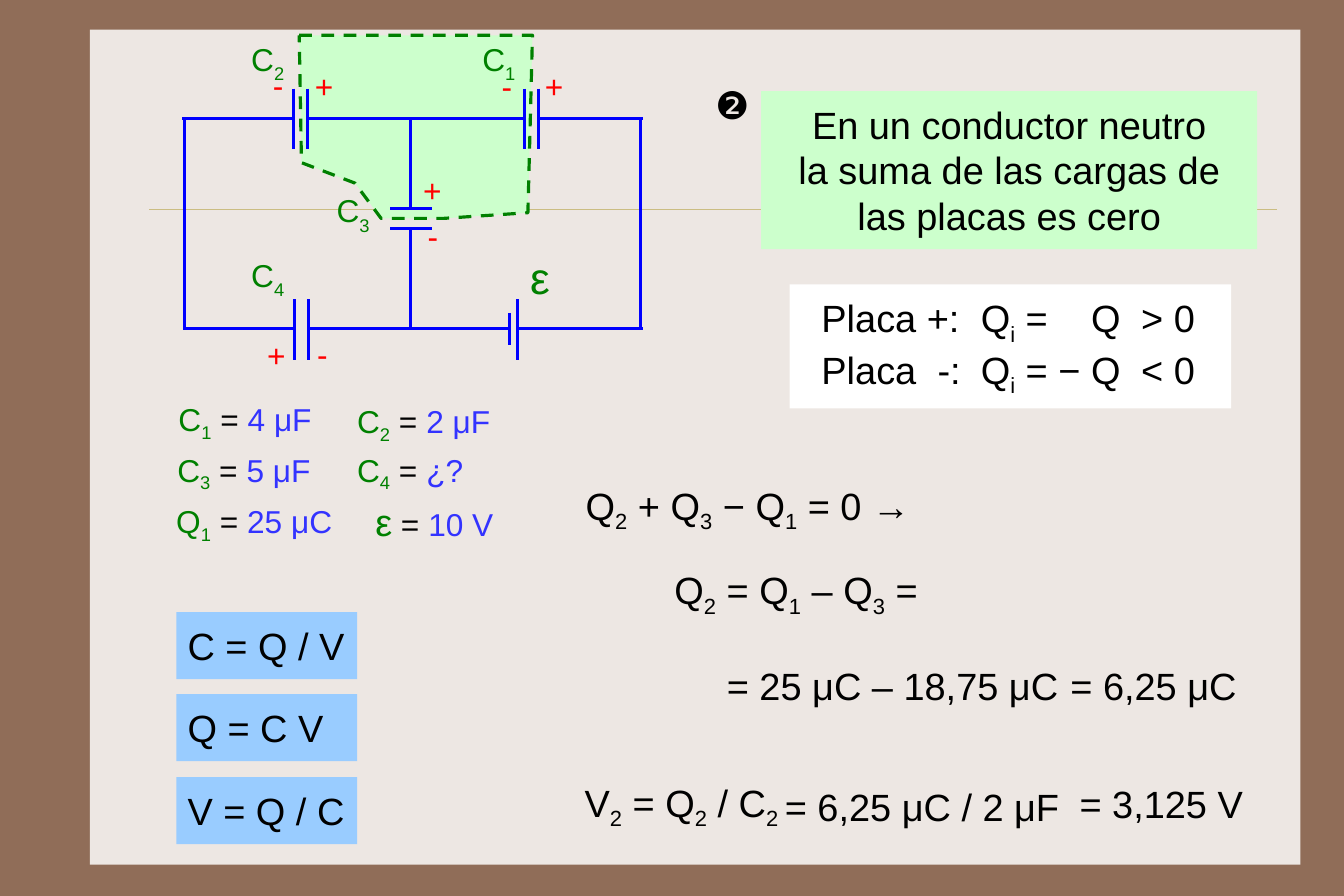
from lxml import etree
from pptx import Presentation
from pptx.dml.color import RGBColor
from pptx.enum.dml import MSO_LINE
from pptx.enum.shapes import MSO_CONNECTOR, MSO_SHAPE
from pptx.enum.text import MSO_ANCHOR, PP_ALIGN
from pptx.oxml.ns import qn
from pptx.util import Inches, Pt

BROWN = RGBColor(0x90, 0x6D, 0x58)
PANEL = RGBColor(0xED, 0xE7, 0xE3)
RULE = RGBColor(0xCB, 0xBD, 0x83)
MINT = RGBColor(0xCC, 0xFF, 0xCC)
GREEN = RGBColor(0x00, 0x80, 0x00)
WIRE = RGBColor(0x00, 0x00, 0xFF)
VALUE = RGBColor(0x33, 0x33, 0xFF)
RED = RGBColor(0xFF, 0x00, 0x00)
SKY = RGBColor(0x99, 0xCC, 0xFF)
WHITE = RGBColor(0xFF, 0xFF, 0xFF)
BLACK = RGBColor(0x00, 0x00, 0x00)


def write(shape, lines, size, inset=0.09, drop=-25):
    frame = shape.text_frame
    frame.word_wrap = True
    frame.vertical_anchor = MSO_ANCHOR.TOP
    frame.margin_left, frame.margin_right = Inches(0.1), 0
    frame.margin_top = frame.margin_bottom = Inches(inset)
    for index, line in enumerate(lines):
        paragraph = frame.add_paragraph() if index else frame.paragraphs[0]
        paragraph.alignment = PP_ALIGN.LEFT
        for text, color in line:
            for position, piece in enumerate(text.split("_")):
                parts = [(piece[:1], drop), (piece[1:], 0)] if position else [(piece, 0)]
                for content, baseline in parts:
                    if not content:
                        continue
                    run = paragraph.add_run()
                    run.text = content
                    run.font.name = "Arial"
                    run.font.size = Pt(size)
                    run.font.color.rgb = color
                    if baseline:
                        run._r.get_or_add_rPr().set("baseline", str(baseline * 1000))
    return frame


def add_line(shapes, x1, y1, x2, y2, color, width):
    line = shapes.add_connector(
        MSO_CONNECTOR.STRAIGHT, Inches(x1), Inches(y1), Inches(x2), Inches(y2))
    line.line.color.rgb = color
    line.line.width = Pt(width)
    etree.SubElement(line._element.spPr, qn("a:effectLst"))


presentation = Presentation()
presentation.slide_width = Inches(11.8125)
presentation.slide_height = Inches(7.875)
slide = presentation.slides.add_slide(presentation.slide_layouts[6])
slide.background.fill.solid()
slide.background.fill.fore_color.rgb = BROWN

boxes = {}
for name, left, top, width, height, color in [
    ("panel", 0.79, 0.26, 10.64, 7.34, PANEL),
    ("law", 6.69, 0.8, 4.36, 1.39, MINT),
    ("signs", 6.94, 2.5, 3.88, 1.09, WHITE),
    ("C = Q / V", 1.55, 5.38, 1.59, 0.59, SKY),
    ("Q = C V", 1.55, 6.1, 1.59, 0.59, SKY),
    ("V = Q / C", 1.55, 6.83, 1.59, 0.59, SKY),
]:
    shape = slide.shapes.add_shape(
        MSO_SHAPE.RECTANGLE, Inches(left), Inches(top), Inches(width), Inches(height))
    shape.shadow.inherit = False
    shape.fill.solid()
    shape.fill.fore_color.rgb = color
    shape.line.fill.background()
    boxes[name] = shape
    if color == SKY:
        write(shape, [[(name, BLACK)]], 24)
    if name == "panel":
        add_line(slide.shapes, 1.31, 1.84, 11.22, 1.84, RULE, 0.25)

law_lines = ["En un conductor neutro", "la suma de las cargas de", "las placas es cero"]
law = write(boxes["law"], [[(line, BLACK)] for line in law_lines], 24)
law.margin_right = Inches(0.1)
for paragraph in law.paragraphs:
    paragraph.alignment = PP_ALIGN.CENTER

signs = write(boxes["signs"], [
    [("Placa +:\tQ_i =\tQ\t> 0", BLACK)],
    [("Placa\t-:\tQ_i = −\tQ\t< 0", BLACK)],
], 24)
signs.vertical_anchor = MSO_ANCHOR.MIDDLE
signs.margin_left = Inches(0.28)
for paragraph in signs.paragraphs:
    tabs = etree.SubElement(paragraph._p.get_or_add_pPr(), qn("a:tabLst"))
    for stop in (1.02, 1.4, 2.37, 2.81):
        etree.SubElement(tabs, qn("a:tab"), pos=str(Inches(stop)), algn="l")

outline = [(4.68, 0.31), (4.64, 1.87), (3.9, 1.92), (3.35, 1.92), (3.12, 1.61), (2.65, 1.43)]
builder = slide.shapes.build_freeform(Inches(2.63), Inches(0.31))
builder.add_line_segments([(Inches(x), Inches(y)) for x, y in outline], close=True)
conductor = builder.convert_to_shape()
conductor.shadow.inherit = False
conductor.fill.solid()
conductor.fill.fore_color.rgb = MINT
conductor.line.color.rgb = GREEN
conductor.line.width = Pt(2)
conductor.line.dash_style = MSO_LINE.DASH

circuit = slide.shapes.add_group_shape().shapes
plates = [(x, 0.78, x, 1.31) for x in (2.58, 2.7, 4.61, 4.73)]
plates += [(x, 2.63, x, 3.16) for x in (2.59, 2.71, 4.55)]
plates += [(3.43, y, 3.8, y) for y in (1.83, 2.01)]
plates += [(4.48, 2.75, 4.48, 3.03)]
wires = [(x1, 1.04, x2, 1.04) for x1, x2 in ((1.6, 2.58), (2.71, 4.61), (4.73, 5.65))]
wires += [(x1, 2.89, x2, 2.89) for x1, x2 in ((1.61, 2.59), (2.72, 4.49), (4.55, 5.65))]
wires += [(x, 1.04, x, 2.89) for x in (1.62, 5.63)]
wires += [(3.61, 1.04, 3.61, 1.83), (3.61, 2.02, 3.61, 2.89)]
for ends in plates + wires:
    add_line(circuit, *ends, WIRE, 2)

for text, left, top, size in [
    ("C_2", 2.11, 0.3, 20), ("C_1", 4.14, 0.3, 20), ("C_3", 2.86, 1.63, 20),
    ("C_4", 2.11, 2.2, 20), ("ε", 4.56, 2.15, 28),
]:
    label = circuit.add_textbox(Inches(left), Inches(top), Inches(0.55), Inches(0.5))
    write(label, [[(text, GREEN)]], size, 0.05, -30)

for sign, left, top in [
    ("+", 4.69, 0.5), ("-", 4.31, 0.5), ("+", 2.67, 0.5), ("-", 2.3, 0.49),
    ("+", 3.62, 1.41), ("-", 3.66, 1.82), ("+", 2.25, 2.86), ("-", 2.69, 2.85),
]:
    charge = circuit.add_textbox(Inches(left), Inches(top), Inches(0.36), Inches(0.52))
    write(charge, [[(sign, RED)]], 20)

for symbol, value, left, top in [
    ("C_1", "4 μF", 1.47, 3.47), ("C_2", "2 μF", 3.04, 3.48),
    ("C_3", "5 μF", 1.46, 3.91), ("C_4", "¿?", 3.04, 3.91),
    ("Q_1", "25 μC", 1.45, 4.36), ("ε", "10 V", 3.2, 4.33),
]:
    datum = slide.shapes.add_textbox(Inches(left), Inches(top), Inches(1.59), Inches(0.44))
    frame = write(datum, [[(symbol, GREEN), (" = ", BLACK), (value, VALUE)]], 20, 0.05)
    if symbol == "ε":
        frame.paragraphs[0].runs[0].font.size = Pt(24)

for text, left, top, width in [
    ("❷", 6.19, 0.63, 0.5),
    ("Q_2 + Q_3 − Q_1 = 0 →", 5.05, 4.15, 3.3),
    ("Q_2 = Q_1 – Q_3 =", 5.83, 4.89, 2.5),
    ("= 25 μC – 18,75 μC", 6.29, 5.73, 3.14),
    ("= 6,25 μC", 9.31, 5.73, 1.7),
    ("V_2 = Q_2 / C_2", 5.04, 6.76, 2.06),
    ("= 6,25 μC / 2 μF", 6.8, 6.8, 2.63),
    ("= 3,125 V", 9.39, 6.77, 1.7),
]:
    step = slide.shapes.add_textbox(Inches(left), Inches(top), Inches(width), Inches(0.59))
    write(step, [[(text, BLACK)]], 24)

presentation.save("out.pptx")
